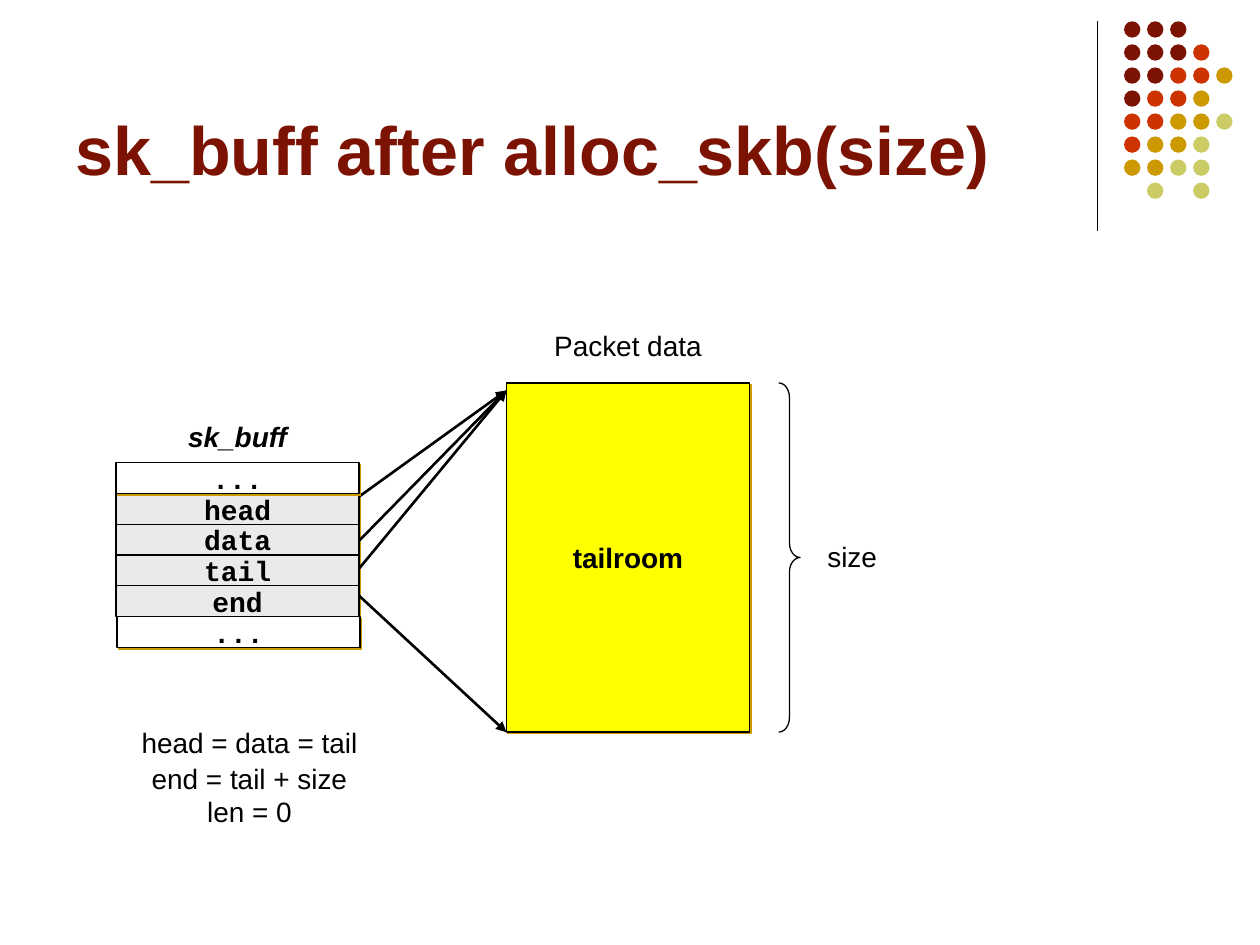
from dataclasses import dataclass

from lxml.etree import SubElement
from pptx import Presentation
from pptx.dml.color import RGBColor
from pptx.enum.shapes import MSO_CONNECTOR, MSO_SHAPE
from pptx.enum.text import MSO_ANCHOR, PP_ALIGN
from pptx.oxml.ns import qn
from pptx.util import Cm, Pt


@dataclass(frozen=True)
class Theme:
    black: str = "000000"
    white: str = "FFFFFF"
    grey: str = "EAEAEA"
    yellow: str = "FFFF00"
    maroon: str = "7C1302"
    red: str = "CC3300"
    gold: str = "CC9900"
    olive: str = "CCCC66"
    font: str = "Arial"
    code_font: str = "Courier New"
    title_size: int = 39
    body_size: int = 16
    thin: float = 0.75
    thick: float = 1.5


THEME = Theme()
BOX_WIDTH = 4.9
ROW_HEIGHT = 0.62
STRUCT_LEFT = 2.34
STRUCT_TOP = 9.33
PACKET_LEFT = 10.21
PACKET_TOP = 7.72
PACKET_HEIGHT = 7.04
PACKET_BOTTOM = PACKET_TOP + PACKET_HEIGHT

DOT_ROWS = ["MMM", "MMMR", "MMRRG", "MRRG", "RRGGO", "RGGO", "GGOO", " O O"]
DOT_COLORS = {"M": THEME.maroon, "R": THEME.red, "G": THEME.gold, "O": THEME.olive}
DOT_LEFT, DOT_TOP, DOT_SIZE = 22.66, 0.43, 0.33
DOT_PITCH = 3.25 / 7


def rgb(color):
    return RGBColor.from_string(color)


def write_text(shape, text, size=THEME.body_size, font=THEME.font, color=THEME.black,
               bold=False, italic=False, align=PP_ALIGN.CENTER):
    text_frame = shape.text_frame
    text_frame.text = text
    text_frame.word_wrap = False
    text_frame.vertical_anchor = MSO_ANCHOR.MIDDLE
    text_frame.margin_left = text_frame.margin_right = Cm(0.16)
    text_frame.margin_top = text_frame.margin_bottom = Cm(0.06)
    paragraph = text_frame.paragraphs[0]
    paragraph.alignment = align
    for run in paragraph.runs:
        run.font.name = font
        run.font.size = Pt(size)
        run.font.bold = bold
        run.font.italic = italic
        run.font.color.rgb = rgb(color)


def add_title(slide, text):
    shape = slide.shapes.add_textbox(Cm(1.27), Cm(0.33), Cm(20.96), Cm(3.61))
    write_text(shape, text, THEME.title_size, color=THEME.maroon, bold=True,
               align=PP_ALIGN.LEFT)
    text_frame = shape.text_frame
    text_frame.word_wrap = True
    text_frame.vertical_anchor = MSO_ANCHOR.BOTTOM
    text_frame.margin_left = text_frame.margin_right = Cm(0.25)
    text_frame.margin_top = text_frame.margin_bottom = Cm(0.13)


def add_label(slide, text, left, top, width=BOX_WIDTH, **style):
    shape = slide.shapes.add_textbox(Cm(left), Cm(top), Cm(width), Cm(ROW_HEIGHT))
    write_text(shape, text, **style)


def add_hard_shadow(shape):
    """Give the shape a sharp gold shadow down and to the right."""
    effects = shape._element.spPr.find(qn("a:effectLst"))
    shadow = SubElement(effects, qn("a:outerShdw"), dist=str(Pt(1.4)),
                        dir="2700000", algn="ctr", rotWithShape="0")
    SubElement(shadow, qn("a:srgbClr"), val=THEME.gold)


def add_box(slide, text, left, top, height, fill, **style):
    shape = slide.shapes.add_shape(MSO_SHAPE.RECTANGLE, Cm(left), Cm(top),
                                   Cm(BOX_WIDTH), Cm(height))
    shape.fill.solid()
    shape.fill.fore_color.rgb = rgb(fill)
    shape.line.color.rgb = rgb(THEME.black)
    shape.line.width = Pt(THEME.thin)
    shape.shadow.inherit = False
    add_hard_shadow(shape)
    write_text(shape, text, bold=True, **style)


def add_struct_row(slide, index, text, fill, left=STRUCT_LEFT):
    add_box(slide, text, left, STRUCT_TOP + index * ROW_HEIGHT, ROW_HEIGHT, fill,
            font=THEME.code_font)


def add_line(slide, start, end, width, arrow=False):
    connector = slide.shapes.add_connector(MSO_CONNECTOR.STRAIGHT,
                                           Cm(start[0]), Cm(start[1]),
                                           Cm(end[0]), Cm(end[1]))
    connector.line.color.rgb = rgb(THEME.black)
    connector.line.width = Pt(width)
    if arrow:
        SubElement(connector.line._get_or_add_ln(), qn("a:tailEnd"), type="triangle")
    SubElement(connector._element.spPr, qn("a:effectLst"))


def add_brace(slide, left, top, width, height):
    brace = slide.shapes.add_shape(MSO_SHAPE.RIGHT_BRACE, Cm(left), Cm(top),
                                   Cm(width), Cm(height))
    brace.adjustments[0] = 0.68
    brace.adjustments[1] = 0.5
    brace.fill.background()
    brace.line.color.rgb = rgb(THEME.black)
    brace.line.width = Pt(THEME.thin)
    brace.shadow.inherit = False


def add_dot_grid(slide):
    for row, colors in enumerate(DOT_ROWS):
        for column, key in enumerate(colors):
            if key not in DOT_COLORS:
                continue
            dot = slide.shapes.add_shape(
                MSO_SHAPE.OVAL, Cm(DOT_LEFT + column * DOT_PITCH),
                Cm(DOT_TOP + row * DOT_PITCH), Cm(DOT_SIZE), Cm(DOT_SIZE))
            dot.fill.solid()
            dot.fill.fore_color.rgb = rgb(DOT_COLORS[key])
            dot.line.fill.background()
            dot.shadow.inherit = False


def main():
    presentation = Presentation()
    presentation.slide_width, presentation.slide_height = Cm(25.4), Cm(19.05)
    slide = presentation.slides.add_slide(presentation.slide_layouts[6])

    add_line(slide, (22.12, 0.43), (22.12, 4.66), THEME.thin)
    add_dot_grid(slide)
    add_title(slide, "sk_buff after alloc_skb(size)")

    add_label(slide, "sk_buff", STRUCT_LEFT, 8.48, bold=True, italic=True)
    for index, field in enumerate(["head", "data", "tail", "end"], start=1):
        add_struct_row(slide, index, field, THEME.grey)

    add_label(slide, "Packet data", PACKET_LEFT, 6.66)
    add_box(slide, "tailroom", PACKET_LEFT, PACKET_TOP, PACKET_HEIGHT, THEME.yellow)
    add_brace(slide, 15.7, PACKET_TOP, 0.43, PACKET_HEIGHT)
    add_label(slide, "size", 16.33, 10.9, width=1.7)

    packet_start = (PACKET_LEFT, 7.87)
    packet_end = (PACKET_LEFT, PACKET_BOTTOM)
    for top, target in [(10.01, packet_start), (10.9, packet_start),
                        (12.01, packet_end), (11.46, packet_start)]:
        add_line(slide, (STRUCT_LEFT + BOX_WIDTH, top), target, THEME.thick, arrow=True)

    add_struct_row(slide, 0, "...", THEME.white)
    add_struct_row(slide, 5, "...", THEME.white, left=2.36)

    for text, top in [("head = data = tail", 14.66), ("end = tail + size", 15.39),
                      ("len = 0", 16.05)]:
        add_label(slide, text, 2.58, top)

    presentation.save("out.pptx")


if __name__ == "__main__":
    main()
